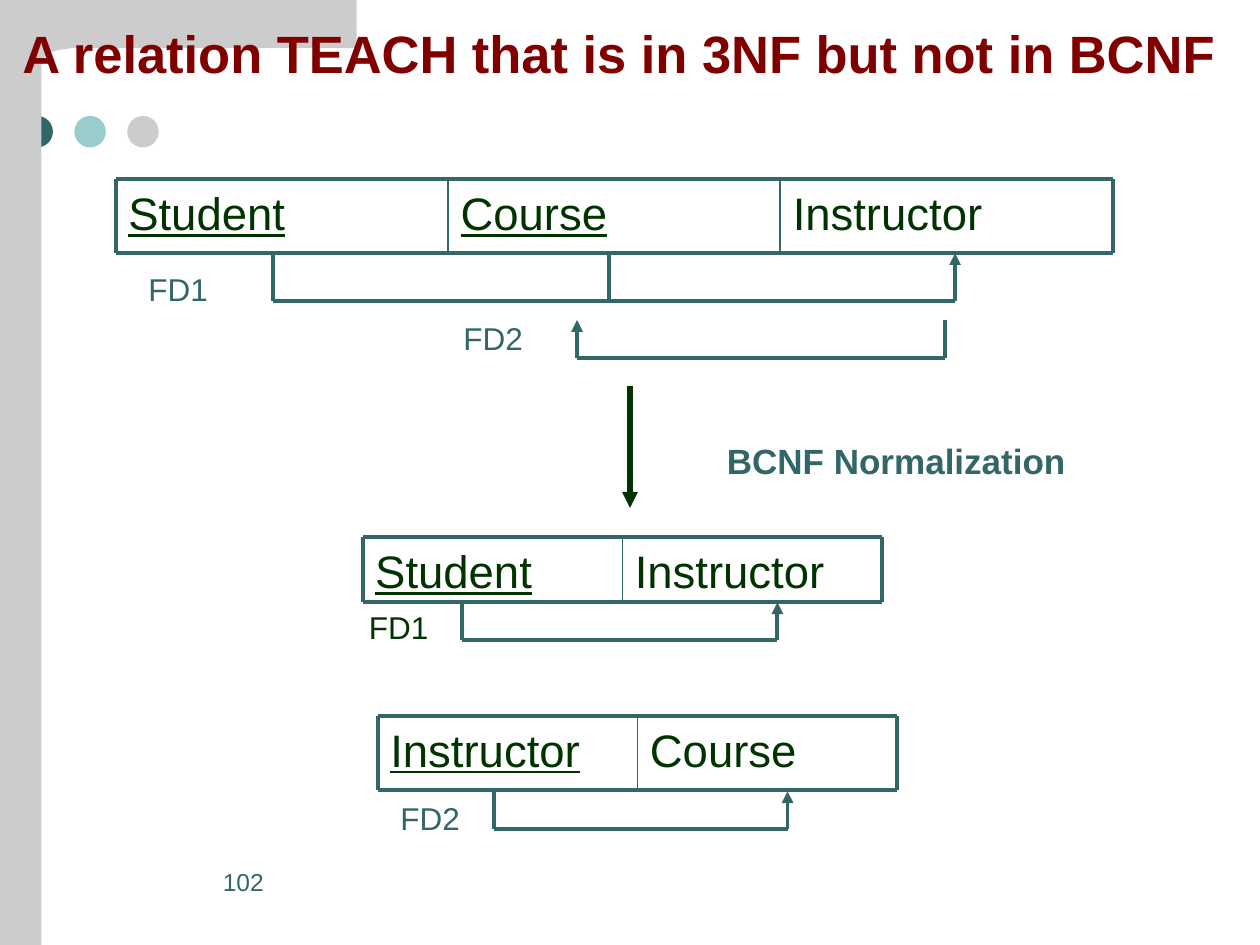
from dataclasses import dataclass

import pptx
import pptx.dml.color
import pptx.enum.shapes
import pptx.enum.text
import pptx.oxml.ns
import pptx.util
from lxml import etree

Inches = pptx.util.Inches
RGBColor = pptx.dml.color.RGBColor
Shape = pptx.enum.shapes.MSO_SHAPE
Anchor = pptx.enum.text.MSO_ANCHOR
qn = pptx.oxml.ns.qn

TEAL = RGBColor(0x33, 0x66, 0x66)
AQUA = RGBColor(0x99, 0xCC, 0xCC)
GRAY = RGBColor(0xCC, 0xCC, 0xCC)
GREEN = RGBColor(0x00, 0x33, 0x00)
MAROON = RGBColor(0x80, 0x00, 0x00)

THICK, THIN = 2.25, 1


@dataclass
class Label:
    text: str
    left: float
    top: float
    width: float
    height: float
    size: float
    color: RGBColor = TEAL
    bold: bool = False
    under: bool = False
    anchor: Anchor = Anchor.TOP


@dataclass
class Table:
    left: float
    top: float
    width: float
    height: float
    names: tuple[str, ...]
    keys: int


@dataclass
class Bracket:
    """A dependency: stems leave a row, meet a bar, and an arrow goes back up."""
    stems: tuple[float, ...]
    tip: float
    top: float
    low: float


TABLES = [
    Table(0.92, 1.42, 7.91, 0.59, ("Student", "Course", "Instructor"), 2),
    Table(2.88, 4.26, 4.12, 0.52, ("Student", "Instructor"), 1),
    Table(3, 5.68, 4.12, 0.59, ("Instructor", "Course"), 1),
]
BRACKETS = [
    Bracket((2.17, 4.83), 7.58, 2.01, 2.39),
    Bracket((3.67,), 6.17, 4.78, 5.08),
    Bracket((7.5,), 4.58, 2.54, 2.84),
    Bracket((3.92,), 6.25, 6.28, 6.58),
]
LABELS = [
    Label("102", 1.67, 6.83, 1.42, 0.5, 14),
    Label("A relation TEACH that is in 3NF but not in BCNF",
          0.08, 0.17, 9.92, 0.5, 30, MAROON, bold=True, anchor=Anchor.MIDDLE),
    Label("FD1", 1.08, 2.09, 0.75, 0.4, 18),
    Label("FD2", 3.58, 2.48, 0.75, 0.4, 18),
    Label("FD1", 2.83, 4.78, 0.75, 0.4, 18, GREEN),
    Label("FD2", 3.08, 6.29, 0.75, 0.4, 18),
    Label("BCNF Normalization", 5.67, 3.44, 3.17, 0.43, 20, bold=True),
]
CORNER = [
    (2.83, 0), (2.83, 0.38), (0.62, 0.38), (0.58, 0.38), (0.51, 0.39),
    (0.45, 0.4), (0.4, 0.42), (0.37, 0.44), (0.34, 0.47), (0.32, 0.5),
    (0.31, 0.53), (0.31, 0.58), (0, 0.58), (0, 0),
]


def paint(shape, color: RGBColor) -> None:
    shape.shadow.inherit = False
    shape.fill.solid()
    shape.fill.fore_color.rgb = color
    shape.line.fill.background()


def draw_shape(shapes, kind: Shape, box: tuple[float, ...], color: RGBColor) -> None:
    paint(shapes.add_shape(kind, *map(Inches, box)), color)


def draw_corner(shapes) -> None:
    first, *rest = [(Inches(x), Inches(y)) for x, y in CORNER]
    pen = shapes.build_freeform(*first)
    pen.add_line_segments(rest, close=True)
    paint(pen.convert_to_shape(), GRAY)


def draw_line(shapes, start: tuple[float, float], end: tuple[float, float],
              width: float = THICK, color: RGBColor = TEAL, arrow: bool = False) -> None:
    line = shapes.add_connector(pptx.enum.shapes.MSO_CONNECTOR.STRAIGHT,
                                *map(Inches, (*start, *end)))
    line.line.width = pptx.util.Pt(width)
    line.line.color.rgb = color
    if arrow:
        etree.SubElement(line.line._get_or_add_ln(), qn("a:tailEnd"), type="triangle")
    etree.SubElement(line._element.spPr, qn("a:effectLst"))


def draw_label(shapes, label: Label) -> None:
    box = shapes.add_textbox(
        *map(Inches, (label.left, label.top, label.width, label.height)))
    frame = box.text_frame
    frame.word_wrap = True
    frame.vertical_anchor = label.anchor
    run = frame.paragraphs[0].add_run()
    run.text = label.text
    style = {"name": "Arial", "size": pptx.util.Pt(label.size),
             "bold": label.bold, "underline": label.under}
    for key, value in style.items():
        setattr(run.font, key, value)
    run.font.color.rgb = label.color


def draw_table(shapes, table: Table) -> None:
    """Draw one row of equal cells; the first ones, the keys, are underlined."""
    count = len(table.names)
    step = table.width / count
    right, low = table.left + table.width, table.top + table.height
    for i, name in enumerate(table.names):
        draw_label(shapes, Label(name, table.left + i * step, table.top, step,
                                 table.height, 26, GREEN, under=i < table.keys))
    for y in (table.top, low):
        draw_line(shapes, (table.left, y), (right, y))
    for i in range(count + 1):
        x = table.left + i * step
        draw_line(shapes, (x, table.top), (x, low), THICK if i in (0, count) else THIN)


def draw_bracket(shapes, item: Bracket) -> None:
    for x in item.stems:
        draw_line(shapes, (x, item.top), (x, item.low))
    draw_line(shapes, (item.stems[0], item.low), (item.tip, item.low))
    draw_line(shapes, (item.tip, item.low), (item.tip, item.top), arrow=True)


def main() -> None:
    deck = pptx.Presentation()
    deck.slide_width, deck.slide_height = Inches(10), Inches(7.5)
    shapes = deck.slides.add_slide(deck.slide_layouts[6]).shapes

    for i, color in enumerate((TEAL, AQUA, GRAY)):
        draw_shape(shapes, Shape.OVAL, (0.17 + i * 0.42, 0.92, 0.25, 0.25), color)
    draw_shape(shapes, Shape.RECTANGLE, (0, 0, 0.33, 7.5), GRAY)
    draw_corner(shapes)
    for table in TABLES:
        draw_table(shapes, table)
    for item in BRACKETS:
        draw_bracket(shapes, item)
    draw_line(shapes, (5, 3.06), (5, 4.03), 3, GREEN, arrow=True)
    for label in LABELS:
        draw_label(shapes, label)

    deck.save("out.pptx")


if __name__ == "__main__":
    main()
